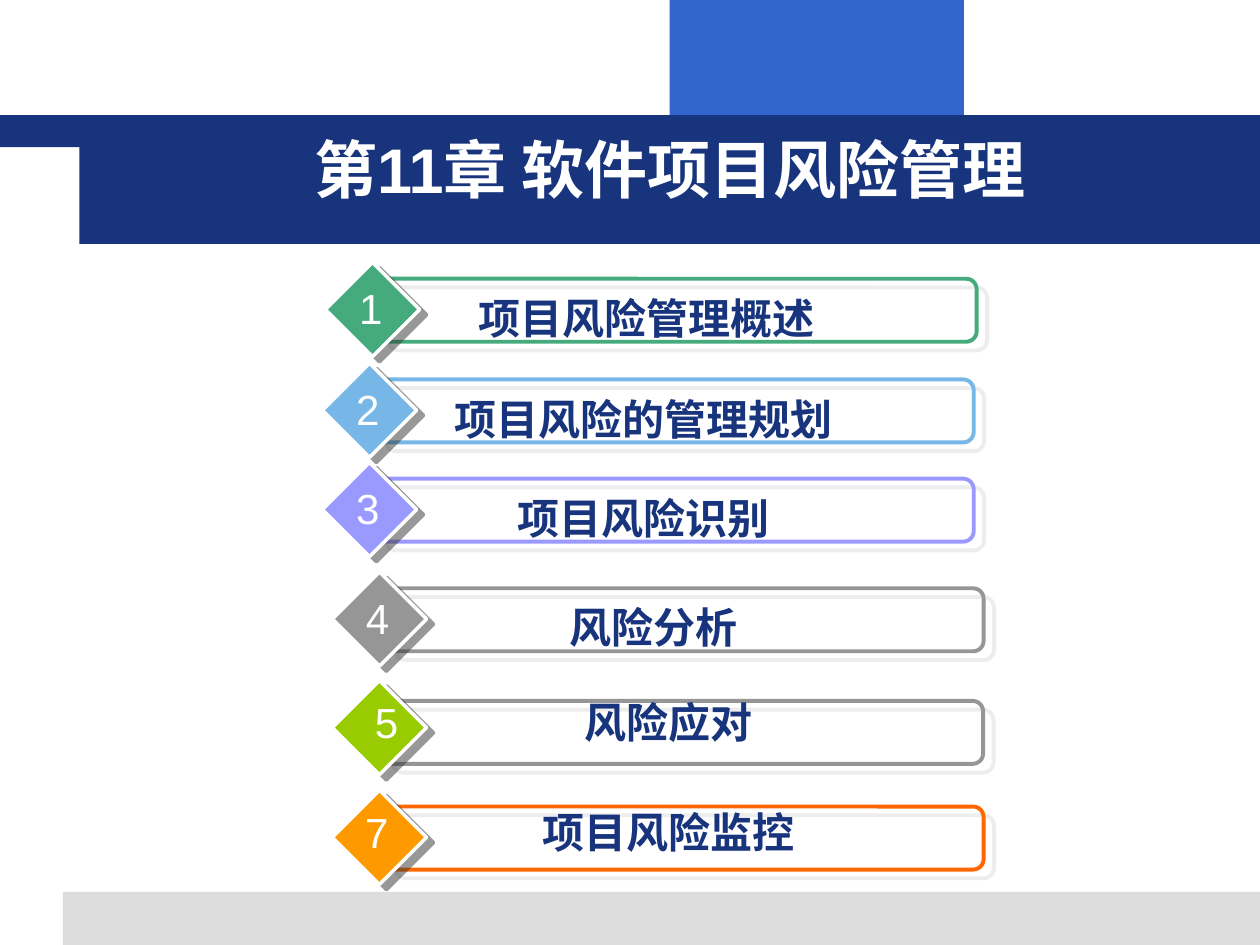
from dataclasses import dataclass

from lxml.etree import SubElement
from pptx import Presentation
from pptx.dml.color import RGBColor as Rgb
from pptx.enum.shapes import MSO_SHAPE as Shape
from pptx.enum.text import MSO_ANCHOR as Anchor, MSO_AUTO_SIZE as AutoSize, PP_ALIGN as Align
from pptx.oxml.ns import qn
from pptx.util import Cm, Pt


@dataclass(frozen=True)
class Theme:
    """Colours, type sizes and font of the deck."""
    font: str = "Arial"
    navy: str = "17347D"
    blue: str = "3366CC"
    silver: str = "DDDDDD"
    white: str = "FFFFFF"
    shade: str = "333333"
    green: str = "45AB7D"
    sky: str = "77B7E7"
    violet: str = "9999FF"
    grey: str = "969696"
    lime: str = "99CC00"
    amber: str = "FF9900"
    orange: str = "FF6600"
    title_size: int = 36
    item_size: int = 24


@dataclass(frozen=True)
class Topic:
    """One agenda row: diamond corner and the offsets of its parts, in cm."""
    number: str
    label: str
    left: float
    top: float
    fill: str
    outline: str
    bar: tuple = (1.06, 0.33)
    bar_width: float = 12.07
    label_at: tuple = (1.7, 0.48)
    number_at: tuple = (0.43, 0.28)


def write(shape, text, *, size, color, font, bold=False, wrap=True, anchor=Anchor.TOP):
    """Put one centred, formatted paragraph in a shape."""
    frame = shape.text_frame
    frame.word_wrap = wrap
    frame.auto_size = AutoSize.NONE
    frame.vertical_anchor = anchor
    para = frame.paragraphs[0]
    para.alignment = Align.CENTER
    span = para.add_run()
    span.text = text
    span.font.name = font
    span.font.size = Pt(size)
    span.font.bold = bold
    span.font.color.rgb = Rgb.from_string(color)


def cast_shadow(shape, color, distance, angle):
    """Give a shape a hard, half-transparent shadow."""
    effects = shape.element.spPr.find(qn("a:effectLst"))
    shadow = SubElement(effects, qn("a:outerShdw"), dist=str(Pt(distance)),
                        dir=str(angle * 60000), algn="ctr", rotWithShape="0")
    tint = SubElement(shadow, qn("a:srgbClr"), val=color)
    SubElement(tint, qn("a:alpha"), val="50000")


class Painter:
    """Holds the theme and the current page and draws its elements."""

    def __init__(self, page, theme):
        """Keep the page and the theme."""
        self.page = page
        self.theme = theme

    def shape(self, kind, left, top, width, height, fill=None, outline=None, weight=0):
        """Draw a preset shape with optional fill and outline."""
        shape = self.page.shapes.add_shape(kind, Cm(left), Cm(top), Cm(width), Cm(height))
        if fill:
            shape.fill.solid()
            shape.fill.fore_color.rgb = Rgb.from_string(fill)
        else:
            shape.fill.background()
        if outline:
            shape.line.color.rgb = Rgb.from_string(outline)
            shape.line.width = Pt(weight)
        else:
            shape.line.fill.background()
        shape.shadow.inherit = False
        return shape

    def title(self, text, left, top, width, height):
        """Place the title in front of the bands."""
        title = self.page.shapes.title
        title.left, title.top, title.width, title.height = map(Cm, (left, top, width, height))
        title.element.getparent().append(title.element)
        write(title, text, size=self.theme.title_size, color=self.theme.white,
              font=self.theme.font, bold=True)

    def text(self, text, left, top, width, height, **style):
        """Add a text box in the item size."""
        box = self.page.shapes.add_textbox(Cm(left), Cm(top), Cm(width), Cm(height))
        write(box, text, size=self.theme.item_size, font=self.theme.font, **style)

    def topic(self, topic):
        """Draw one agenda row."""
        def at(offset):
            return topic.left + offset[0], topic.top + offset[1]

        theme = self.theme
        bar = self.shape(Shape.ROUNDED_RECTANGLE, *at(topic.bar), topic.bar_width, 1.27,
                         outline=topic.outline, weight=2.25)
        cast_shadow(bar, theme.silver, 7.8, 40)
        diamond = self.shape(Shape.DIAMOND, topic.left, topic.top, 1.9, 1.9,
                             fill=topic.fill, outline=theme.white, weight=2)
        cast_shadow(diamond, theme.shade, 5, 37)
        self.text(topic.label, *at(topic.label_at), 9.53, 1.27, color=theme.navy, bold=True)
        self.text(topic.number, *at(topic.number_at), 0.97, 1.27, color=theme.white, wrap=False)


def main():
    """Build and save the chapter agenda."""
    theme = Theme()
    deck = Presentation()
    deck.slide_width, deck.slide_height = Cm(25.4), Cm(19.05)
    painter = Painter(deck.slides.add_slide(deck.slide_layouts[5]), theme)

    bands = [
        (13.5, 0, 5.93, 2.34, theme.blue),
        (1.27, 17.98, 24.13, 1.07, theme.silver),
        (0, 2.32, 25.4, 0.65, theme.navy),
        (1.6, 2.32, 23.8, 2.6, theme.navy),
    ]
    for *place, color in bands:
        painter.shape(Shape.RECTANGLE, *place, fill=color)
    painter.title("第11章 软件项目风险管理", 4.5, 2.51, 18, 1.78)

    topics = [
        Topic("1", "项目风险管理概述", 6.56, 5.29, theme.green, theme.green),
        Topic("2", "项目风险的管理规划", 6.5, 7.32, theme.sky, theme.sky),
        Topic("3", "项目风险识别", 6.5, 9.32, theme.violet, theme.violet),
        Topic("4", "风险分析", 6.7, 11.53, theme.grey, theme.grey),
        Topic("5", "风险应对", 6.7, 13.72, theme.lime, theme.grey, bar=(1, 0.41),
              bar_width=12.12, label_at=(2.01, 0.2), number_at=(0.61, 0.2)),
        Topic("7", "项目风险监控", 6.7, 15.93, theme.amber, theme.orange,
              label_at=(2.01, 0.2), number_at=(0.41, 0.2)),
    ]
    for topic in topics:
        painter.topic(topic)
    deck.save("out.pptx")


if __name__ == "__main__":
    main()
